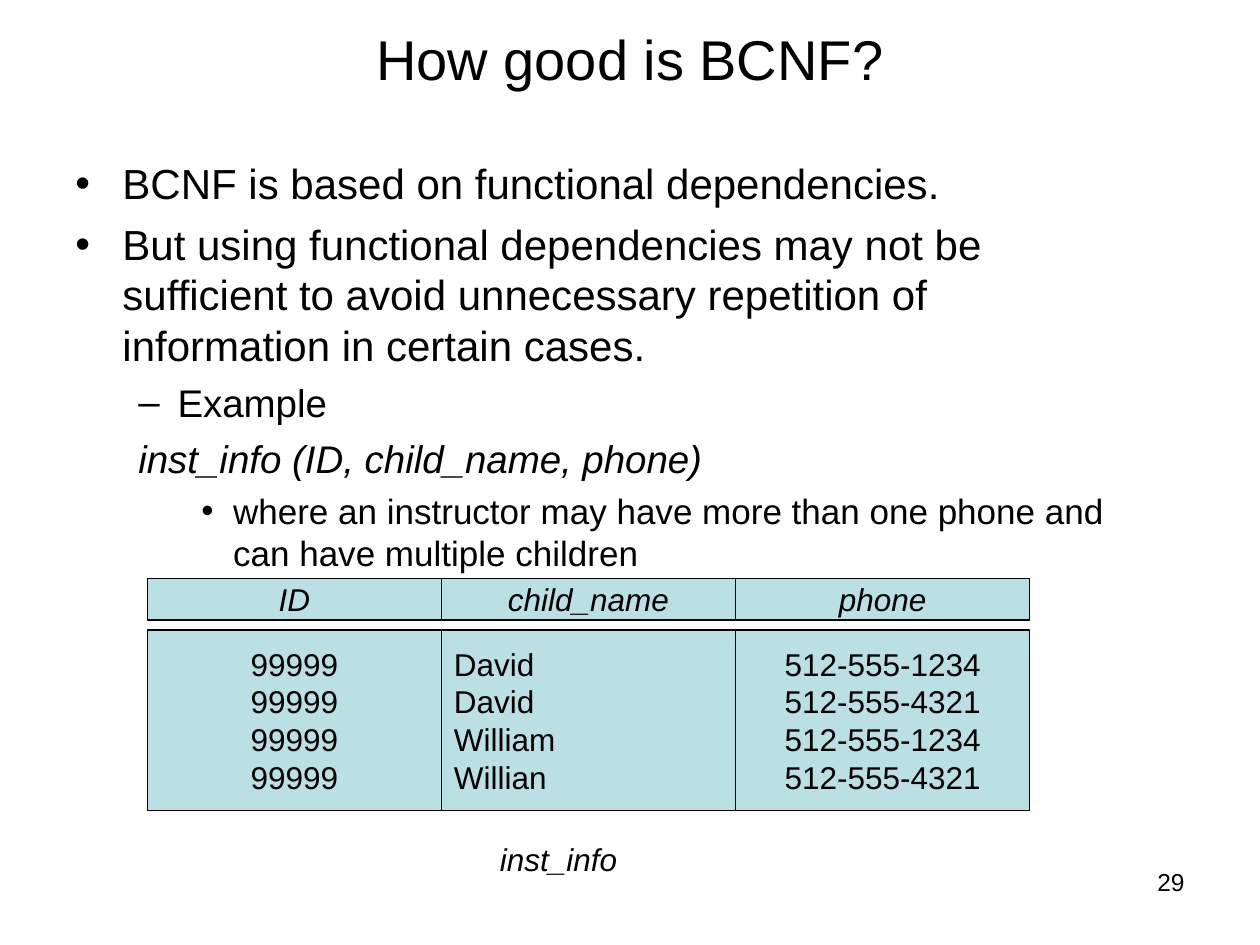
from lxml import etree
from pptx import Presentation
from pptx.dml.color import RGBColor
from pptx.enum.shapes import MSO_SHAPE as Shape
from pptx.enum.text import MSO_ANCHOR as Anchor, PP_ALIGN as Align
from pptx.oxml.ns import qn
from pptx.util import Cm, Pt

COLORS = {"text": "000000", "line": "000000", "cell": "BBE0E3"}


def write(shape, lines, size, align=Align.LEFT, italic=False, anchor=Anchor.TOP, wrap=True):
    """Fill a shape with one paragraph per line, all in one style."""
    frame = shape.text_frame
    frame.text = "\n".join(lines)
    frame.word_wrap = wrap
    frame.vertical_anchor = anchor
    for para in frame.paragraphs:
        para.alignment = align
        for span in para.runs:
            span.font.name = "Arial"
            span.font.size = Pt(size)
            span.font.italic = italic
            span.font.color.rgb = RGBColor.from_string(COLORS["text"])


def indent(para, left, hanging, bullet):
    """Set a hanging indent in cm and, if given, a bullet character."""
    props = para._p.get_or_add_pPr()
    props.set("marL", str(Cm(left)))
    props.set("indent", str(-Cm(hanging)))
    if bullet:
        font = etree.SubElement(props, qn("a:buFont"))
        font.set("typeface", "Arial")
        etree.SubElement(props, qn("a:buChar")).set("char", bullet)
    else:
        etree.SubElement(props, qn("a:buNone"))


deck = Presentation()
deck.slide_width, deck.slide_height = Cm(25.4), Cm(19.05)
page = deck.slides.add_slide(deck.slide_layouts[6])

title = page.shapes.add_textbox(Cm(1.27), Cm(0.28), Cm(22.86), Cm(1.78))
write(title, ["How good is BCNF?"], 32, Align.CENTER, anchor=Anchor.MIDDLE)

# Text, size, left indent, hanging indent, bullet, space before, italic
points = [
    ("BCNF is based on functional dependencies.", 24, 0.95, 0.95, "•", 0, False),
    ("But using functional dependencies may not be sufficient to avoid unnecessary "
     "repetition of information in certain cases.", 24, 0.95, 0.95, "•", 6, False),
    ("Example", 22, 2.06, 0.79, "–", 5.5, False),
    ("inst_info (ID, child_name, phone)", 22, 2.06, 0.79, None, 5.5, True),
    ("where an instructor may have more than one phone and can have multiple children",
     20, 3.18, 0.64, "•", 5, False),
]
body = page.shapes.add_textbox(Cm(1.27), Cm(3.05), Cm(22.05), Cm(14.96))
write(body, [point[0] for point in points], 24)
for para, point in zip(body.text_frame.paragraphs, points):
    text, size, left, hanging, bullet, before, italic = point
    para.space_before = Pt(before)
    indent(para, left, hanging, bullet)
    para.runs[0].font.size = Pt(size)
    para.runs[0].font.italic = italic

# The relation is drawn as a row of header boxes above a row of value boxes
columns = [
    ("ID", ["99999"] * 4, Align.CENTER),
    ("child_name", ["David", "David", "William", "Willian"], Align.LEFT),
    ("phone", ["512-555-1234", "512-555-4321"] * 2, Align.CENTER),
]
column_width = 5.93
for index, (name, values, align) in enumerate(columns):
    left = 2.97 + index * column_width
    for top, height, lines, place, italic in (
        (11.66, 0.84, [name], Align.CENTER, True),
        (12.7, 3.64, values, align, False),
    ):
        cell = page.shapes.add_shape(
            Shape.RECTANGLE, Cm(left), Cm(top), Cm(column_width), Cm(height))
        cell.shadow.inherit = False
        cell.fill.solid()
        cell.fill.fore_color.rgb = RGBColor.from_string(COLORS["cell"])
        cell.line.color.rgb = RGBColor.from_string(COLORS["line"])
        cell.line.width = Pt(0.75)
        write(cell, lines, 18, place, italic, Anchor.MIDDLE, wrap=False)

caption = page.shapes.add_textbox(Cm(9.83), Cm(16.81), Cm(2.87), Cm(1.02))
write(caption, ["inst_info"], 18, italic=True, wrap=False)

page_number = page.shapes.add_textbox(Cm(18.2), Cm(17.35), Cm(5.93), Cm(1.32))
write(page_number, ["29"], 14, Align.RIGHT)

deck.save("out.pptx")
